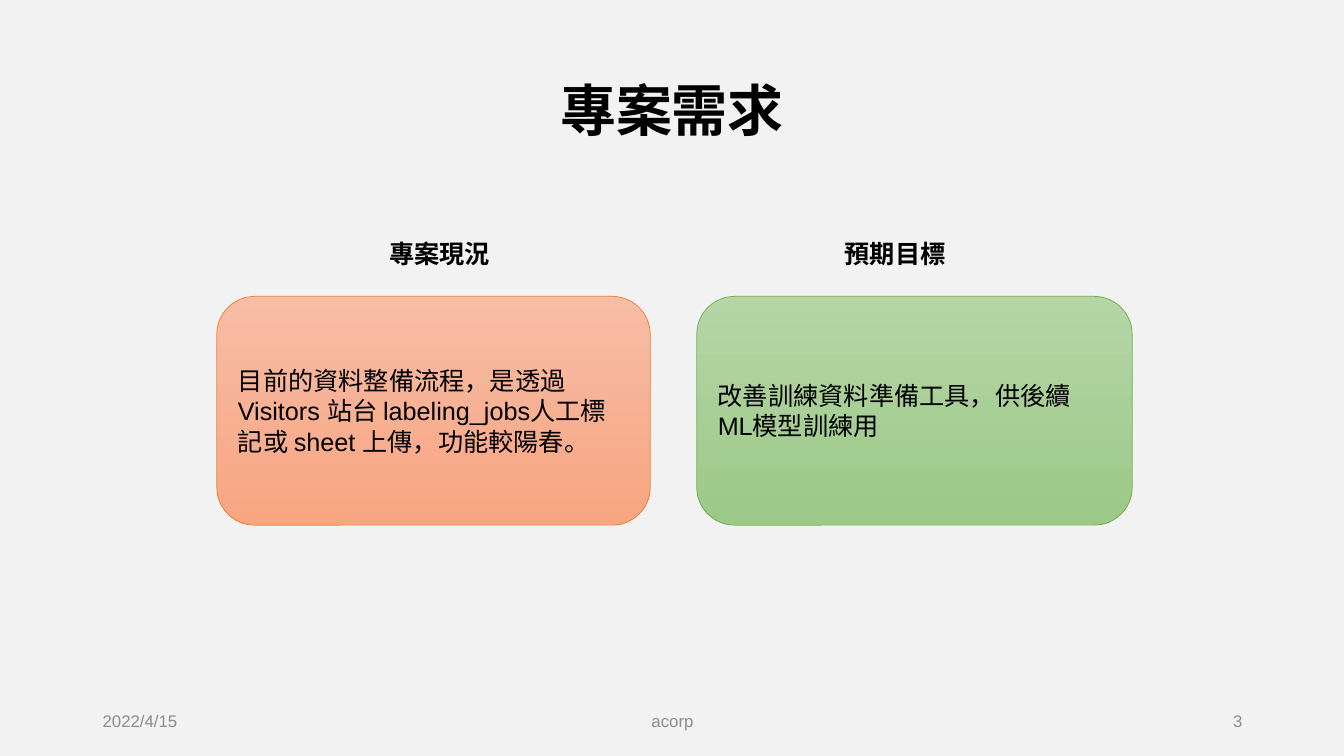
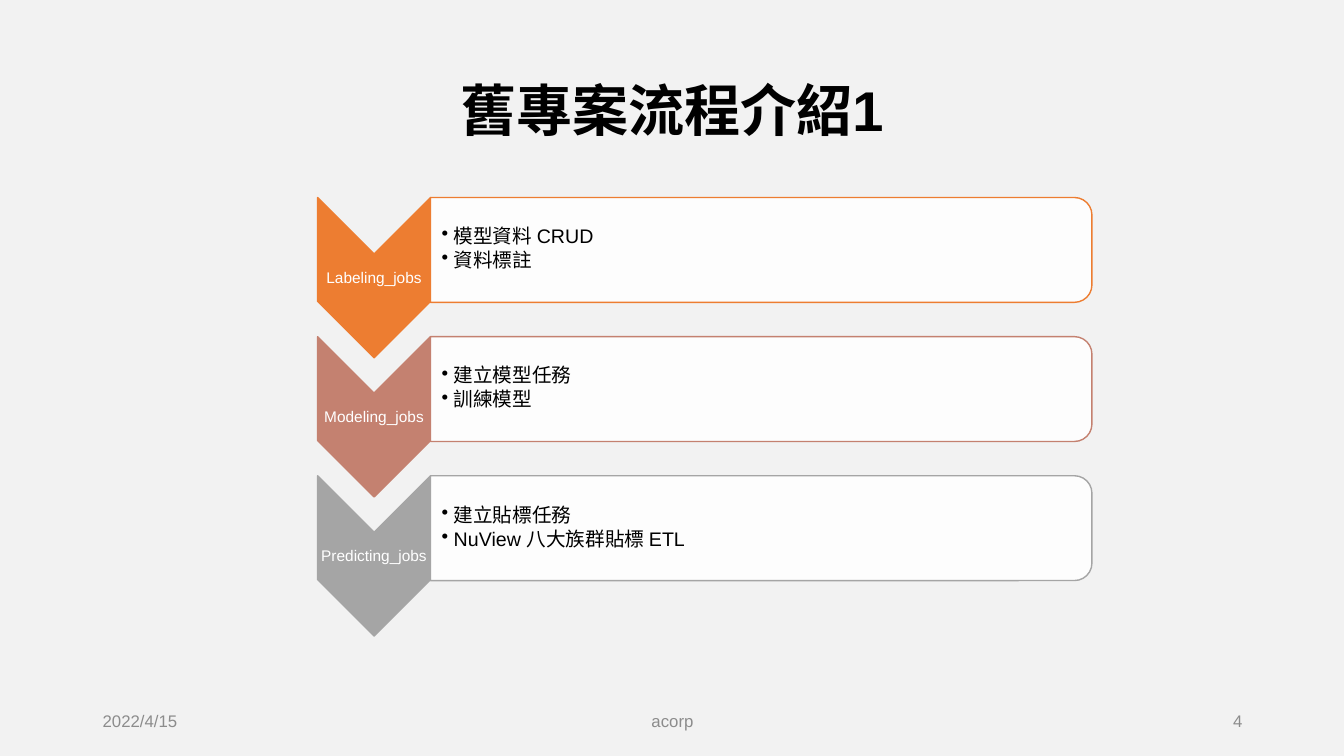
"""Build two slides: project needs and the old project flow."""
from lxml import etree
from pptx import Presentation, util as u
from pptx.dml.color import RGBColor
from pptx.enum import shapes, text
from pptx.oxml import ns

PAPER = RGBColor(0xF2, 0xF2, 0xF2)
WHITE = RGBColor(0xFF, 0xFF, 0xFF)
BLACK = RGBColor(0x00, 0x00, 0x00)
MUTED = RGBColor(0x8C, 0x8C, 0x8C)
ORANGE = RGBColor(0xED, 0x7D, 0x31)
PEACH = RGBColor(0xF7, 0xBD, 0xA5)
CORAL = RGBColor(0xF8, 0xA5, 0x82)
GREEN = RGBColor(0x70, 0xAD, 0x47)
MINT = RGBColor(0xB5, 0xD5, 0xA7)
LEAF = RGBColor(0x9C, 0xC9, 0x87)
ROSE = RGBColor(0xC4, 0x81, 0x70)
GRAY = RGBColor(0xA5, 0xA5, 0xA5)

FONT = "Arial"
WIDE, HIGH = 13.33, 7.5
LEFT, MID, RIGHT = text.PP_ALIGN.LEFT, text.PP_ALIGN.CENTER, text.PP_ALIGN.RIGHT
KIND = shapes.MSO_SHAPE

NEEDS = "專案需求"
CARDS = [
    ("專案現況", "目前的資料整備流程，是透過 Visitors 站台 labeling_jobs人工標記或 sheet 上傳，功能較陽春。",
     (2.15, 4.3), 3.76, (PEACH, CORAL, ORANGE)),
    ("預期目標", "改善訓練資料準備工具，供後續 ML模型訓練用",
     (6.91, 4.32), 8.28, (MINT, LEAF, GREEN)),
]
FLOW = "舊專案流程介紹1"
STEPS = [
    ("Labeling_jobs", ["模型資料 CRUD", "資料標註"], ORANGE),
    ("Modeling_jobs", ["建立模型任務", "訓練模型"], ROSE),
    ("Predicting_jobs", ["建立貼標任務", "NuView 八大族群貼標 ETL"], GRAY),
]
DATE, OWNER = "2022/4/15", "acorp"


def write(shape, lines, size, color=BLACK, bold=False, align=LEFT, inset=None,
          space=None, after=0, bullet=False):
    frame = shape.text_frame
    frame.word_wrap = True
    frame.vertical_anchor = text.MSO_ANCHOR.MIDDLE
    if inset:
        frame.margin_left = u.Inches(inset[0])
        frame.margin_top = frame.margin_right = frame.margin_bottom = u.Inches(inset[1])
    frame.text = "\n".join(lines)
    for para in frame.paragraphs:
        para.alignment = align
        para.line_spacing = space
        para.space_after = u.Pt(after)
        font = para.font
        font.name, font.size, font.bold = FONT, u.Pt(size), bold
        font.color.rgb = color
        if bullet:
            props = para._p.get_or_add_pPr()
            props.set("marL", str(u.Inches(0.12)))
            props.set("indent", str(-u.Inches(0.12)))
            mark = etree.Element(ns.qn("a:buChar"), char="•")
            props.insert_element_before(mark, "a:tabLst", "a:defRPr", "a:extLst")


def label(slide, box, lines, size, **style):
    write(slide.shapes.add_textbox(*map(u.Inches, box)), lines, size, **style)


def block(slide, kind, box, edge, width, turn=False):
    x, y, w, h = box
    if turn:
        x, y, w, h = x + (w - h) / 2, y + (h - w) / 2, h, w
    shape = slide.shapes.add_shape(kind, *map(u.Inches, (x, y, w, h)))
    shape.rotation = 90 if turn else 0
    shape.shadow.inherit = False
    shape.line.color.rgb = edge
    shape.line.width = u.Pt(width)
    return shape


def start(deck, title, number):
    slide = deck.slides.add_slide(deck.slide_layouts[6])
    label(slide, (2.58, 0.4, 8.17, 1.45), [title], 40, bold=True, align=MID, space=0.9)
    for x, w, word, align in ((0.92, 3, DATE, LEFT), (4.42, 4.5, OWNER, MID),
                              (9.42, 3, str(number), RIGHT)):
        label(slide, (x, 6.95, w, 0.4), [word], 12, color=MUTED, align=align)
    return slide


def needs(deck):
    slide = start(deck, NEEDS, 3)
    for head, body, (x, w), left, (top, base, edge) in CARDS:
        card = block(slide, KIND.ROUNDED_RECTANGLE, (x, 2.94, w, 2.27), edge, 0.5)
        card.fill.gradient()
        card.fill.gradient_angle = 270
        for stop, color in zip(card.fill.gradient_stops, (top, base)):
            stop.color.rgb = color
        write(card, [body], 18)
        label(slide, (left, 2.31, 1.31, 0.4), [head], 18, bold=True)


def flow(deck):
    slide = start(deck, FLOW, 4)
    x, top, pitch, arrow, bar = 3.15, 1.96, 1.38, 1.12, 6.56
    for row, (name, items, color) in enumerate(STEPS):
        y = top + row * pitch
        tip = block(slide, KIND.CHEVRON, (x, y, arrow, 1.59), color, 1, True)
        tip.fill.solid()
        tip.fill.fore_color.rgb = color
        label(slide, (x, y + 0.56, arrow, 0.48), [name], 11, color=WHITE, align=MID,
              inset=(0.01, 0.01), space=0.9, after=4)
        panel = block(slide, KIND.ROUND_2_SAME_RECTANGLE, (x + arrow, y, bar, 1.04),
                      color, 1, True)
        panel.fill.solid()
        panel.fill.fore_color.rgb = WHITE
        tint = panel._element.spPr.find(ns.qn("a:solidFill"))[0]
        etree.SubElement(tint, ns.qn("a:alpha"), val="90000")
        label(slide, (x + arrow, y + 0.05, bar - 0.05, 0.93), items, 14,
              inset=(0.11, 0.01), space=0.9, after=2, bullet=True)


def main():
    deck = Presentation()
    deck.slide_width, deck.slide_height = u.Inches(WIDE), u.Inches(HIGH)
    paper = deck.slide_master.background.fill
    paper.solid()
    paper.fore_color.rgb = PAPER
    needs(deck)
    flow(deck)
    deck.save("out.pptx")


if __name__ == "__main__":
    main()
